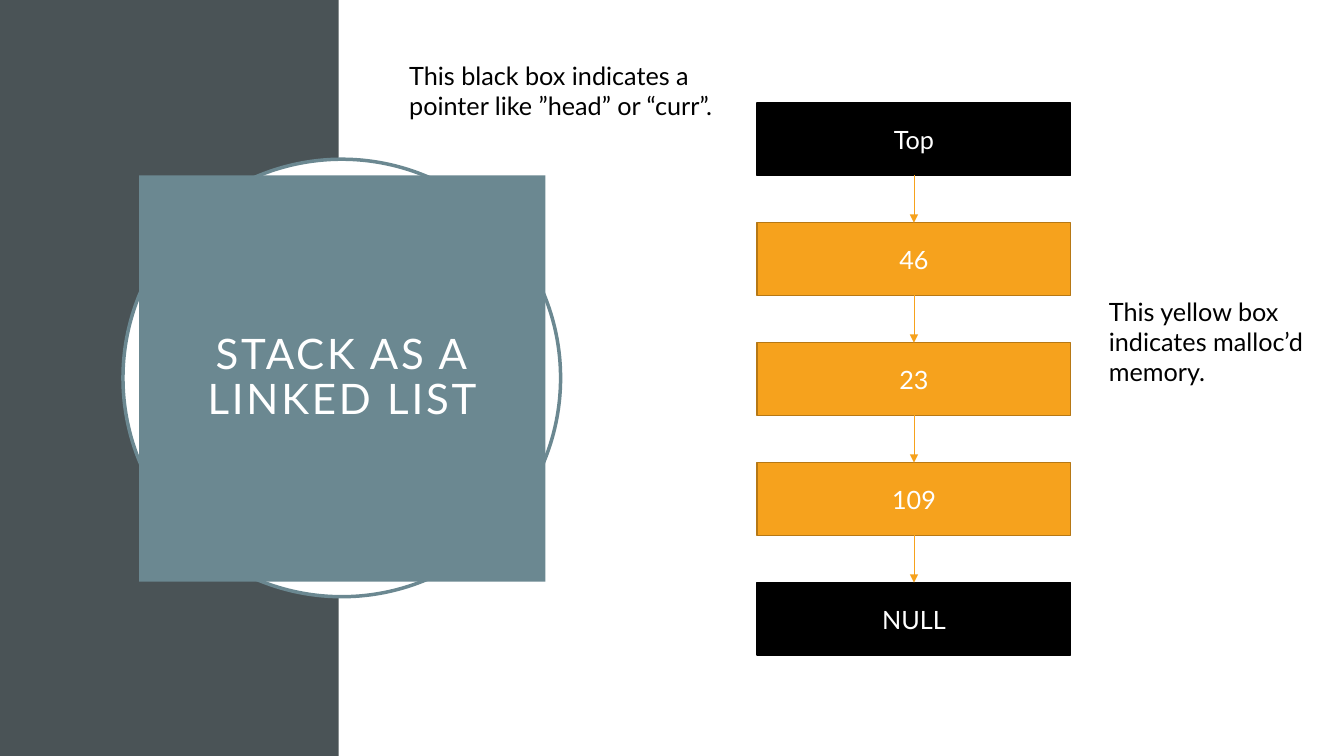
from typing import NamedTuple

from pptx import Presentation
from pptx import util as u
from pptx.dml.color import RGBColor
from pptx.enum import shapes, text
from pptx.oxml.ns import qn
from lxml import etree

FONT = "Lato"
WHITE, BLACK = "FFFFFF", "000000"
SLATE, TEAL = "4A5356", "6B8891"
AMBER, BROWN = "F6A21D", "B67815"
RECT, OVAL = shapes.MSO_SHAPE.RECTANGLE, shapes.MSO_SHAPE.OVAL


class Box(NamedTuple):
    left: float
    top: float
    width: float
    height: float


class Node(NamedTuple):
    label: str
    fill: str
    edge: str


class Note(NamedTuple):
    words: str
    box: Box


def color(code: str) -> RGBColor:
    return RGBColor.from_string(code)


def place(box: Box) -> list:
    return [u.Inches(side) for side in box]


def draw(kind, box: Box, fill: str, edge: str = "", weight: float = 1):
    shape = slide.shapes.add_shape(kind, *place(box))
    shape.shadow.inherit = False
    shape.fill.solid()
    shape.fill.fore_color.rgb = color(fill)
    if edge:
        shape.line.color.rgb = color(edge)
        shape.line.width = u.Pt(weight)
    else:
        shape.line.fill.background()
    return shape


def write(shape, words: str, size: float, ink: str, align):
    frame = shape.text_frame
    frame.word_wrap = True
    frame.text = words
    para = frame.paragraphs[0]
    para.alignment = align
    font = para.runs[0].font
    font.name, font.size = FONT, u.Pt(size)
    font.color.rgb = color(ink)
    return para


def label(shape, words: str, size: float):
    shape.text_frame.vertical_anchor = text.MSO_ANCHOR.MIDDLE
    return write(shape, words, size, WHITE, text.PP_ALIGN.CENTER)


def link(upper, lower) -> None:
    line = slide.shapes.add_connector(shapes.MSO_CONNECTOR.STRAIGHT, 0, 0, 0, 0)
    line.begin_connect(upper, 2)
    line.end_connect(lower, 0)
    line.line.color.rgb = color(AMBER)
    line.line.width = u.Pt(0.5)
    etree.SubElement(line.line._get_or_add_ln(), qn("a:tailEnd"), type="triangle")
    etree.SubElement(line._element.spPr, qn("a:effectLst"))


deck = Presentation()
deck.slide_width, deck.slide_height = u.Inches(13.33), u.Inches(7.5)
slide = deck.slides.add_slide(deck.slide_layouts[6])

# Side band, ring and title square
draw(RECT, Box(0, 0, 3.36, 7.5), SLATE)
draw(OVAL, Box(1.22, 1.58, 4.34, 4.34), WHITE, TEAL, 2.5)
title = draw(RECT, Box(1.38, 1.74, 4.03, 4.03), TEAL)
frame = title.text_frame
frame.margin_left = frame.margin_right = u.Inches(0.2)
frame.margin_top = frame.margin_bottom = u.Inches(0.2)
para = label(title, "STACK AS A LINKED LIST", 30)
para.line_spacing = 0.9
para.runs[0].font._element.set("spc", "200")

# Stack from top pointer to NULL
STACK = [
    Node("Top", BLACK, BLACK),
    Node("46", AMBER, BROWN),
    Node("23", AMBER, BROWN),
    Node("109", AMBER, BROWN),
    Node("NULL", BLACK, BLACK),
]
FIRST, STEP = 1.02, 1.19
last = None
for row, node in enumerate(STACK):
    box = Box(7.51, FIRST + row * STEP, 3.11, 0.72)
    cell = draw(RECT, box, node.fill, node.edge)
    label(cell, node.label, 18)
    if last is not None:
        link(last, cell)
    last = cell

# Notes on the box colours
NOTES = [
    Note("This black box indicates a pointer like ”head” or “curr”.",
         Box(3.96, 0.55, 3.22, 0.71)),
    Note("This yellow box indicates malloc’d memory.",
         Box(10.9, 2.89, 2.27, 1.01)),
]
for note in NOTES:
    area = slide.shapes.add_textbox(*place(note.box))
    write(area, note.words, 18, BLACK, text.PP_ALIGN.LEFT)
    area.text_frame.auto_size = text.MSO_AUTO_SIZE.SHAPE_TO_FIT_TEXT

deck.save("out.pptx")
